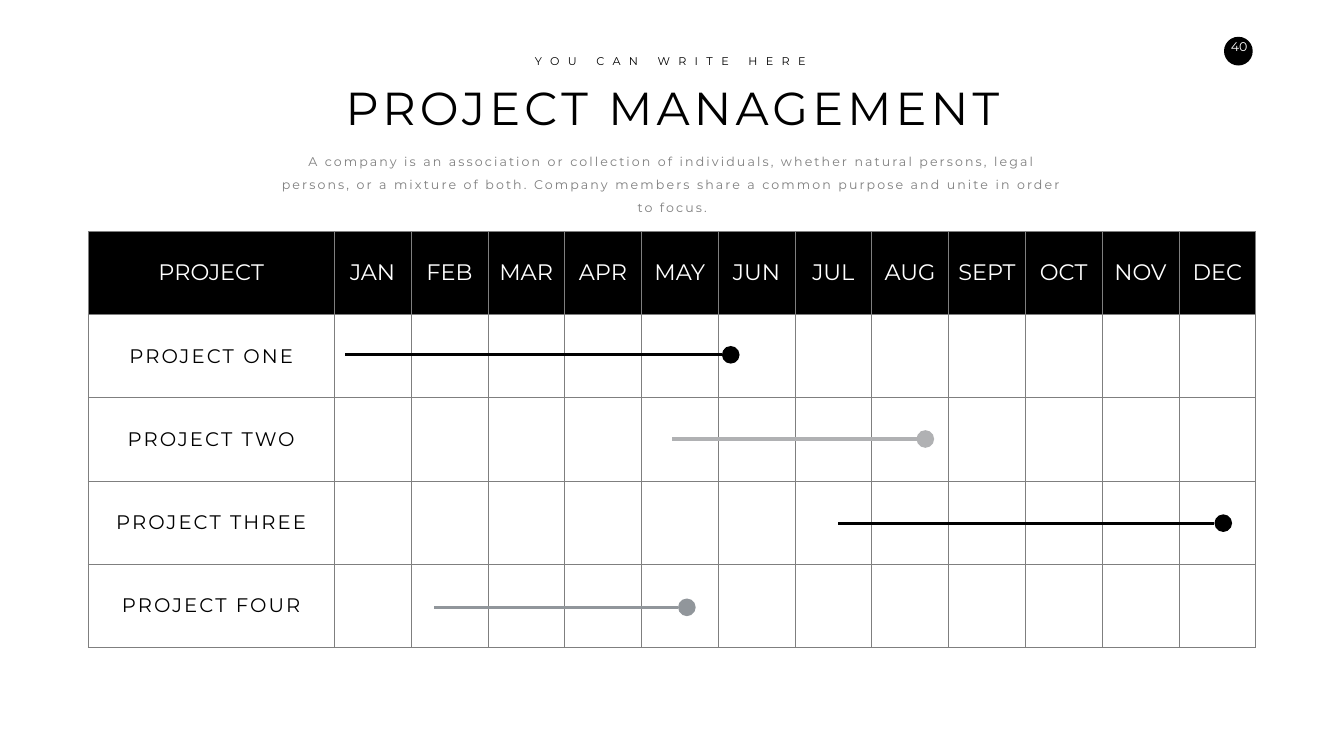
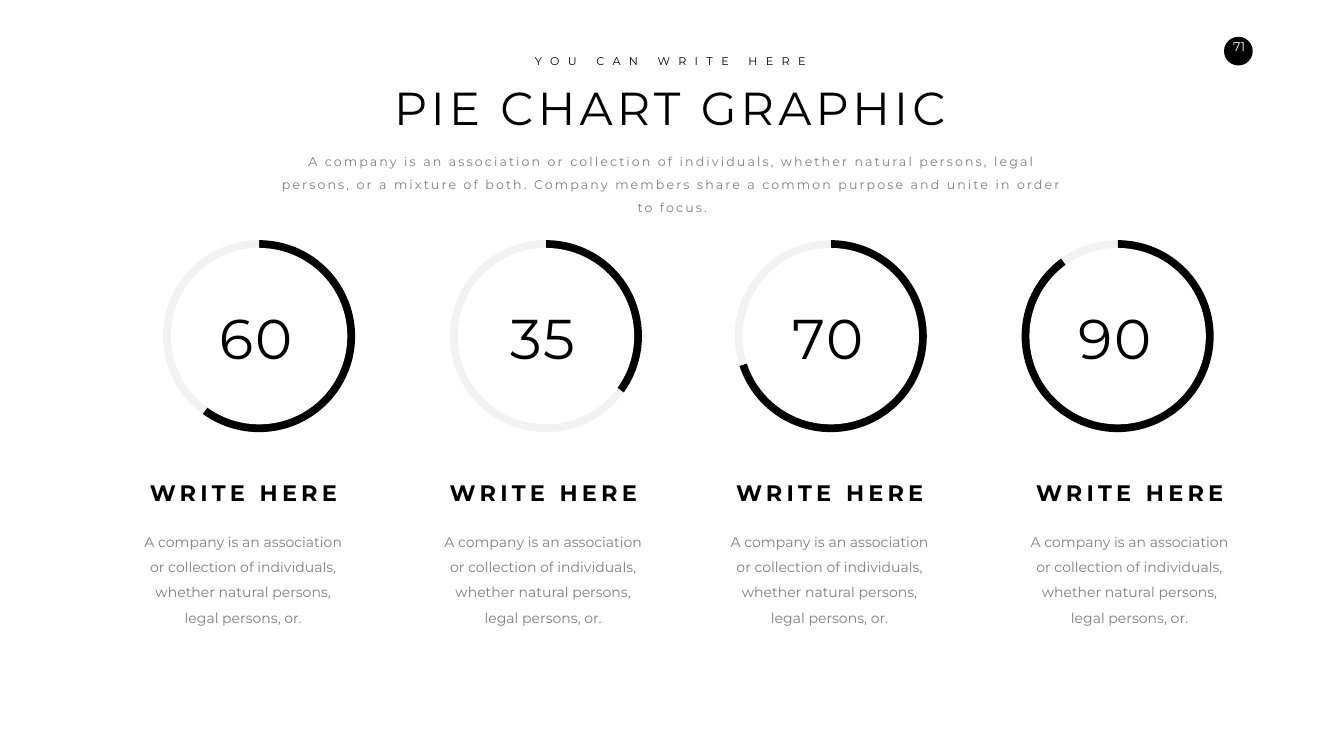
"""Builds a project timeline slide and a ring chart slide in one shared style."""
from lxml import etree
from pptx import Presentation
from pptx.chart.data import CategoryChartData
from pptx.dml.color import RGBColor
from pptx.enum.chart import XL_CHART_TYPE
from pptx.enum.shapes import MSO_CONNECTOR, MSO_SHAPE
from pptx.enum.text import MSO_ANCHOR, MSO_AUTO_SIZE, PP_ALIGN
from pptx.oxml import parse_xml
from pptx.oxml.ns import nsdecls, qn
from pptx.util import Inches, Pt

PIE = XL_CHART_TYPE.PIE
STRAIGHT = MSO_CONNECTOR.STRAIGHT
OVAL = MSO_SHAPE.OVAL
MIDDLE = MSO_ANCHOR.MIDDLE
GROW = MSO_AUTO_SIZE.SHAPE_TO_FIT_TEXT
CENTER = PP_ALIGN.CENTER

BLACK, WHITE, GRAY, PALE = "000000", "FFFFFF", "7F7F7F", "F2F2F2"
SILVER, STEEL = "B0B1B3", "91969B"
FONT, CHART_FONT = "Montserrat", "Lato"

KICKER = "YOU CAN WRITE HERE"
INTRO = ("A company is an association or collection of individuals, whether natural "
         "persons, legal persons, or a mixture of both. Company members share a common "
         "purpose and unite in order to focus.")

MONTHS = ["JAN", "FEB", "MAR", "APR", "MAY", "JUN",
          "JUL", "AUG", "SEPT", "OCT", "NOV", "DEC"]
PROJECTS = [
    ("PROJECT ONE", 6.85, 14.32, BLACK),
    ("PROJECT TWO", 13.34, 18.18, SILVER),
    ("PROJECT THREE", 16.62, 24.09, BLACK),
    ("PROJECT FOUR", 8.61, 13.45, STEEL),
]
TABLE_LEFT, TABLE_TOP, TABLE_WIDTH = 1.75, 4.59, 23.16
NAME_WIDTH, ROW_HEIGHT = 4.88, 1.65
FIRST_BAR, BAR_STEP, DOT = 7.04, 1.67, 0.35

RING_HEADING = "WRITE HERE"
RING_TEXT = ("A company is an association or collection of individuals, "
             "whether natural persons, legal persons, or.")
RINGS = [(60, 2.66, 2.66), (35, 8.35, 8.61), (70, 14, 14.29), (90, 19.69, 20.24)]
CHART_TOP, CHART_WIDTH, CHART_HEIGHT = 4.62, 4.96, 4.1
PIE_SIZE, HOLE_SIZE = 3.81, 3.5


def color(value):
    """Turn a hex string into a colour."""
    return RGBColor.from_string(value)


def write(frame, text, size=18, fill=BLACK, bold=False, spacing=0, line_spacing=None):
    """Put one centred, formatted paragraph into a text frame."""
    paragraph = frame.paragraphs[0]
    paragraph.alignment = CENTER
    if line_spacing:
        paragraph.line_spacing = line_spacing
    run = paragraph.add_run()
    run.text = text
    run.font.name = FONT
    run.font.size = Pt(size)
    run.font.bold = bold
    run.font.color.rgb = color(fill)
    if spacing:
        run.font._element.set("spc", str(spacing * 100))


def add_text(slide, text, left, top, width, height, wrap=True, **style):
    """Add a text box that grows with its text."""
    frame = slide.shapes.add_textbox(
        Inches(left), Inches(top), Inches(width), Inches(height)).text_frame
    frame.word_wrap = wrap
    frame.auto_size = GROW
    write(frame, text, **style)


def add_circle(shapes, left, top, size, fill):
    """Add a plain filled circle."""
    circle = shapes.add_shape(OVAL, Inches(left), Inches(top), Inches(size), Inches(size))
    circle.shadow.inherit = False
    circle.fill.solid()
    circle.fill.fore_color.rgb = color(fill)
    circle.line.fill.background()


def add_slide(presentation, number, title, title_left, title_width):
    """Add a slide with the shared heading and page number."""
    slide = presentation.slides.add_slide(presentation.slide_layouts[6])
    add_circle(slide.shapes, 24.28, 0.73, 0.57, BLACK)
    add_text(slide, str(number), 24.15, 0.73, 0.86, 0.5, wrap=False, fill=WHITE)
    add_text(slide, title, title_left, 1.52, title_width, 1.21, size=66, spacing=6)
    add_text(slide, KICKER, 10.41, 1.02, 5.78, 0.37, size=16, spacing=12)
    add_text(slide, INTRO, 5.32, 2.86, 16.03, 1.01, fill=GRAY, spacing=3, line_spacing=1.5)
    return slide


def add_borders(cell):
    """Draw a thin gray line on every side of a cell."""
    properties = cell._tc.get_or_add_tcPr()
    for index, side in enumerate(("lnL", "lnR", "lnT", "lnB")):
        properties.insert(index, parse_xml(
            f'<a:{side} {nsdecls("a")} w="12700"><a:solidFill>'
            f'<a:srgbClr val="{GRAY}"/></a:solidFill></a:{side}>'))


def add_schedule(slide):
    """Add the table of projects and months."""
    rows = [["PROJECT"] + MONTHS]
    rows += [[name] + [""] * len(MONTHS) for name, *_ in PROJECTS]
    table = slide.shapes.add_table(
        len(rows), len(rows[0]), Inches(TABLE_LEFT), Inches(TABLE_TOP),
        Inches(TABLE_WIDTH), Inches(ROW_HEIGHT * len(rows))).table
    table.first_row = table.horz_banding = False
    month_width = (TABLE_WIDTH - NAME_WIDTH) / len(MONTHS)
    for index, column in enumerate(table.columns):
        column.width = Inches(month_width if index else NAME_WIDTH)
    for row_index, row in enumerate(rows):
        table.rows[row_index].height = Inches(ROW_HEIGHT)
        for column_index, text in enumerate(row):
            cell = table.cell(row_index, column_index)
            cell.vertical_anchor = MIDDLE
            if row_index == 0:
                cell.fill.solid()
                cell.fill.fore_color.rgb = color(BLACK)
                write(cell.text_frame, text, size=32, fill=WHITE)
            else:
                cell.fill.background()
                if text:
                    write(cell.text_frame, text, size=28, spacing=3)
            add_borders(cell)


def add_bar(slide, start, end, middle, fill):
    """Add a timeline bar that ends in a dot."""
    shapes = slide.shapes.add_group_shape().shapes
    add_circle(shapes, end, middle - DOT / 2, DOT, fill)
    line = shapes.add_connector(
        STRAIGHT, Inches(end), Inches(middle), Inches(start), Inches(middle))
    line.line.color.rgb = color(fill)
    line.line.width = Pt(4.5)
    etree.SubElement(line._element.spPr, qn("a:effectLst"))


def set_pie_area(chart):
    """Centre the pie at a fixed size and start it at the top."""
    shares = {"x": (1 - PIE_SIZE / CHART_WIDTH) / 2, "y": (1 - PIE_SIZE / CHART_HEIGHT) / 2,
              "w": PIE_SIZE / CHART_WIDTH, "h": PIE_SIZE / CHART_HEIGHT}
    values = "".join(f'<c:{key} val="{share:.4f}"/>' for key, share in shares.items())
    area = chart._chartSpace.chart.plotArea
    for layout in area.findall(qn("c:layout")):
        area.remove(layout)
    area.insert(0, parse_xml(
        f'<c:layout {nsdecls("c")}><c:manualLayout><c:layoutTarget val="inner"/>'
        f'<c:xMode val="edge"/><c:yMode val="edge"/>{values}</c:manualLayout></c:layout>'))
    pie = area.find(qn("c:pieChart"))
    if pie.find(qn("c:firstSliceAng")) is None:
        etree.SubElement(pie, qn("c:firstSliceAng")).set("val", "0")


def add_ring(slide, value, left):
    """Add a pie with a white centre that shows its value."""
    data = CategoryChartData()
    data.categories = ["1", "2"]
    data.add_series("Series 1", (value, 100 - value))
    chart = slide.shapes.add_chart(
        PIE, Inches(left), Inches(CHART_TOP), Inches(CHART_WIDTH),
        Inches(CHART_HEIGHT), data).chart
    chart.has_title = chart.has_legend = False
    chart.font.name = CHART_FONT
    chart.font.size = Pt(10)
    chart.font.color.rgb = color(GRAY)
    plot = chart.plots[0]
    plot.vary_by_categories = True
    for index, fill in enumerate((BLACK, PALE)):
        point = plot.series[0].points[index].format
        point.fill.solid()
        point.fill.fore_color.rgb = color(fill)
        point.line.fill.background()
    set_pie_area(chart)
    add_circle(slide.shapes, left + (CHART_WIDTH - HOLE_SIZE) / 2,
               CHART_TOP + (CHART_HEIGHT - HOLE_SIZE) / 2, HOLE_SIZE, WHITE)
    add_text(slide, str(value), left + 0.87, 5.97, 3.11, 1.45, size=80, spacing=3)


def main():
    """Build both slides and save them."""
    presentation = Presentation()
    presentation.slide_width = Inches(26.66)
    presentation.slide_height = Inches(15)

    slide = add_slide(presentation, 40, "PROJECT MANAGEMENT", 6.73, 13.23)
    add_schedule(slide)
    for index, (_, start, end, fill) in enumerate(PROJECTS):
        add_bar(slide, start, end, FIRST_BAR + index * BAR_STEP, fill)

    slide = add_slide(presentation, 71, "PIE CHART GRAPHIC", 7.69, 11.21)
    for value, ring_left, text_left in RINGS:
        add_ring(slide, value, ring_left)
        add_text(slide, RING_TEXT, text_left, 10.37, 4.33, 2.12,
                 size=20, fill=GRAY, line_spacing=1.5)
        add_text(slide, RING_HEADING, text_left + 0.19, 9.46, 3.96, 0.64,
                 wrap=False, size=32, bold=True, spacing=6)

    presentation.save("out.pptx")


if __name__ == "__main__":
    main()
